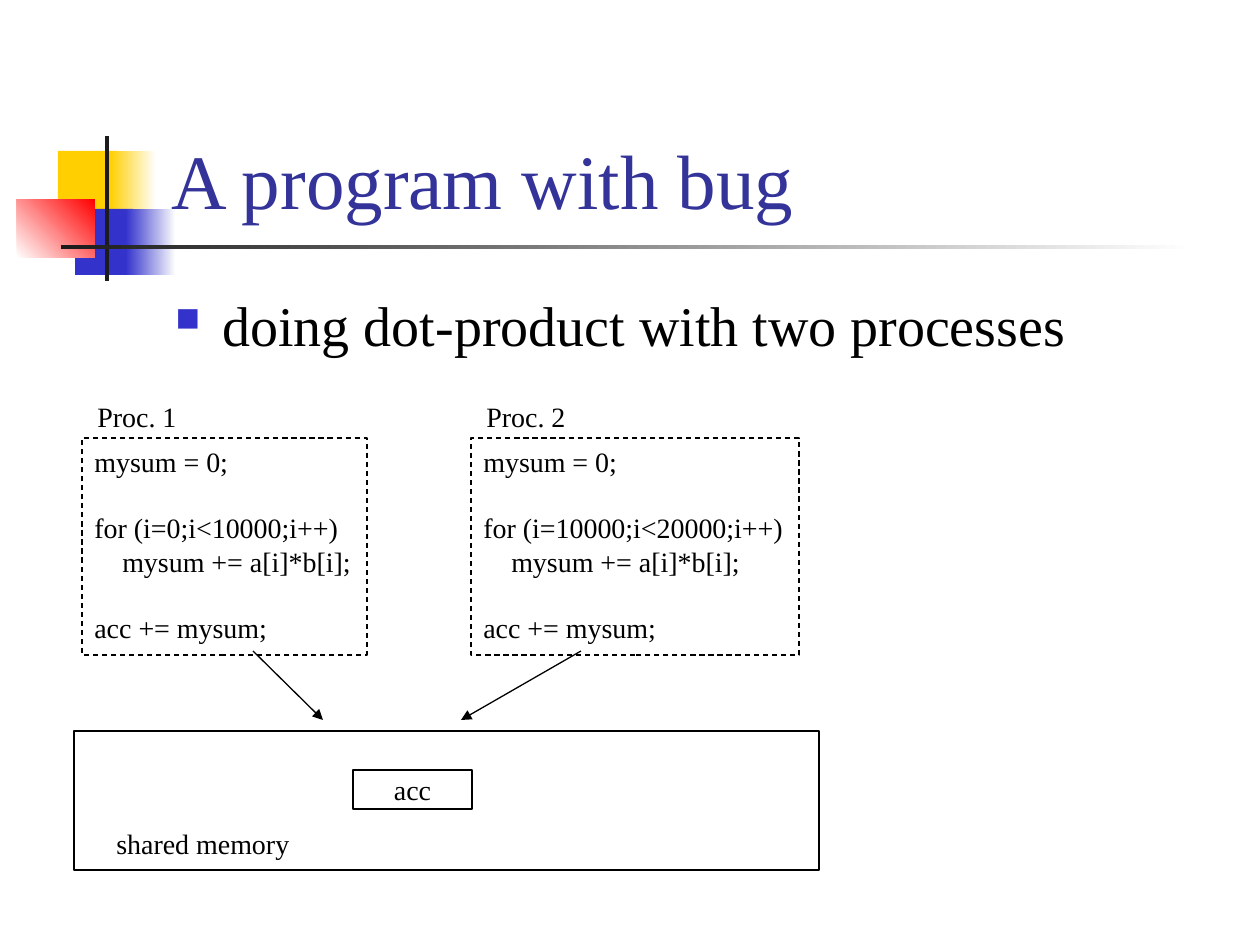
from lxml.etree import SubElement
from pptx import Presentation
from pptx.dml.color import RGBColor
from pptx.enum.dml import MSO_LINE
from pptx.enum.shapes import MSO_CONNECTOR, MSO_SHAPE
from pptx.enum.text import MSO_ANCHOR, PP_ALIGN
from pptx.oxml.ns import qn
from pptx.util import Pt

EMU_PER_PX = 914400 / 126
COLORS = {
    "yellow": "FFCF01", "blue": "3333CC", "red": "FF0000", "dark": "1C1C1C",
    "white": "FFFFFF", "title": "333399", "black": "000000",
}


def emu(px):
    return round(px * EMU_PER_PX)


def rgb(name):
    return RGBColor.from_string(COLORS[name])


def write(frame, text, size=16, color="black", font="Times New Roman",
          align=PP_ALIGN.LEFT, anchor=MSO_ANCHOR.TOP, wrap=False):
    """Fill a frame line by line; an empty line becomes space before the next."""
    frame.word_wrap = wrap
    frame.vertical_anchor = anchor
    para, gap = frame.paragraphs[0], 0
    for line in text.split("\n"):
        if not line:
            gap += size * 1.18
            continue
        if para.runs:
            para = frame.add_paragraph()
        para.alignment = align
        if gap:
            para.space_before, gap = Pt(round(gap, 1)), 0
        span = para.add_run()
        span.text = line
        span.font.size = Pt(size)
        span.font.name = font
        span.font.color.rgb = rgb(color)


class SlideBuilder:
    def __init__(self, deck):
        self.slide = deck.slides.add_slide(deck.slide_layouts[6])
        self.line_width = Pt(0.75)

    def rectangle(self, left, top, width, height, fill=None, fade=None,
                  angle=0, line=None, dash=None):
        """Draw a rectangle; fade is the colour the fill runs into."""
        box = self.slide.shapes.add_shape(
            MSO_SHAPE.RECTANGLE, *map(emu, (left, top, width, height)))
        box.shadow.inherit = False
        if fade:
            box.fill.gradient()
            box.fill.gradient_angle = angle
            for stop, name in zip(box.fill.gradient_stops, (fill, fade)):
                stop.color.rgb = rgb(name)
        elif fill:
            box.fill.solid()
            box.fill.fore_color.rgb = rgb(fill)
        else:
            box.fill.background()
        if line:
            box.line.color.rgb = rgb(line)
            box.line.width = self.line_width
            box.line.dash_style = dash
        else:
            box.line.fill.background()
        return box

    def text(self, left, top, width, height, text, **style):
        box = self.slide.shapes.add_textbox(*map(emu, (left, top, width, height)))
        write(box.text_frame, text, **style)
        return box

    def bullet(self, left, top, width, height, text, indent, **style):
        box = self.text(left, top, width, height, text, wrap=True, **style)
        properties = box.text_frame.paragraphs[0]._p.get_or_add_pPr()
        properties.set("marL", str(emu(indent)))
        properties.set("indent", str(-emu(indent)))
        color = SubElement(properties, qn("a:buClr"))
        SubElement(color, qn("a:srgbClr"), val=COLORS["blue"])
        SubElement(properties, qn("a:buSzPct"), val="60000")
        SubElement(properties, qn("a:buChar"), char="■")

    def arrow(self, start, end):
        line = self.slide.shapes.add_connector(
            MSO_CONNECTOR.STRAIGHT, *map(emu, start + end))
        line.line.color.rgb = rgb("black")
        line.line.width = self.line_width
        SubElement(line.line._get_or_add_ln(), qn("a:tailEnd"), type="triangle")
        SubElement(line._element.spPr, qn("a:effectLst"))

    def process(self, number, left, width, first, last):
        """Draw one labelled process with its share of the loop."""
        code = (f"mysum = 0;\n\nfor (i={first};i<{last};i++)\n"
                "    mysum += a[i]*b[i];\n\nacc += mysum;")
        box = self.rectangle(left, 438, width, 217, line="black", dash=MSO_LINE.DASH)
        write(box.text_frame, code)
        self.text(left + 3, 393, 105, 47, f"Proc. {number}")


def main():
    deck = Presentation()
    deck.slide_width, deck.slide_height = emu(1260), emu(945)
    page = SlideBuilder(deck)

    page.rectangle(58, 151, 60, 66, "yellow")
    page.rectangle(110, 151, 46, 66, "yellow", fade="white")
    page.rectangle(75, 209, 58, 66, "blue")
    page.rectangle(126, 209, 50, 66, "blue", fade="white")
    page.rectangle(17, 199, 78, 59, "white", fade="red", angle=45)
    page.rectangle(105, 136, 4, 145, "dark")
    page.rectangle(61, 245, 1134, 4, "dark", fade="white")

    page.text(159, 29, 1074, 202, "A program with bug", size=44, color="title",
              anchor=MSO_ANCHOR.BOTTOM, wrap=True)
    page.bullet(163, 284, 1071, 86, "doing dot-product with two processes",
                indent=47, size=32)

    page.process(1, 82, 285, 0, 10000)
    page.process(2, 471, 328, 10000, 20000)

    page.rectangle(74, 731, 745, 139, line="black")
    page.text(104, 820, 199, 47, "shared memory")
    variable = page.rectangle(353, 770, 119, 39, line="black")
    write(variable.text_frame, "acc", align=PP_ALIGN.CENTER, anchor=MSO_ANCHOR.MIDDLE)

    page.arrow((253, 651), (323, 720))
    page.arrow((581, 651), (461, 720))

    deck.save("out.pptx")


if __name__ == "__main__":
    main()
